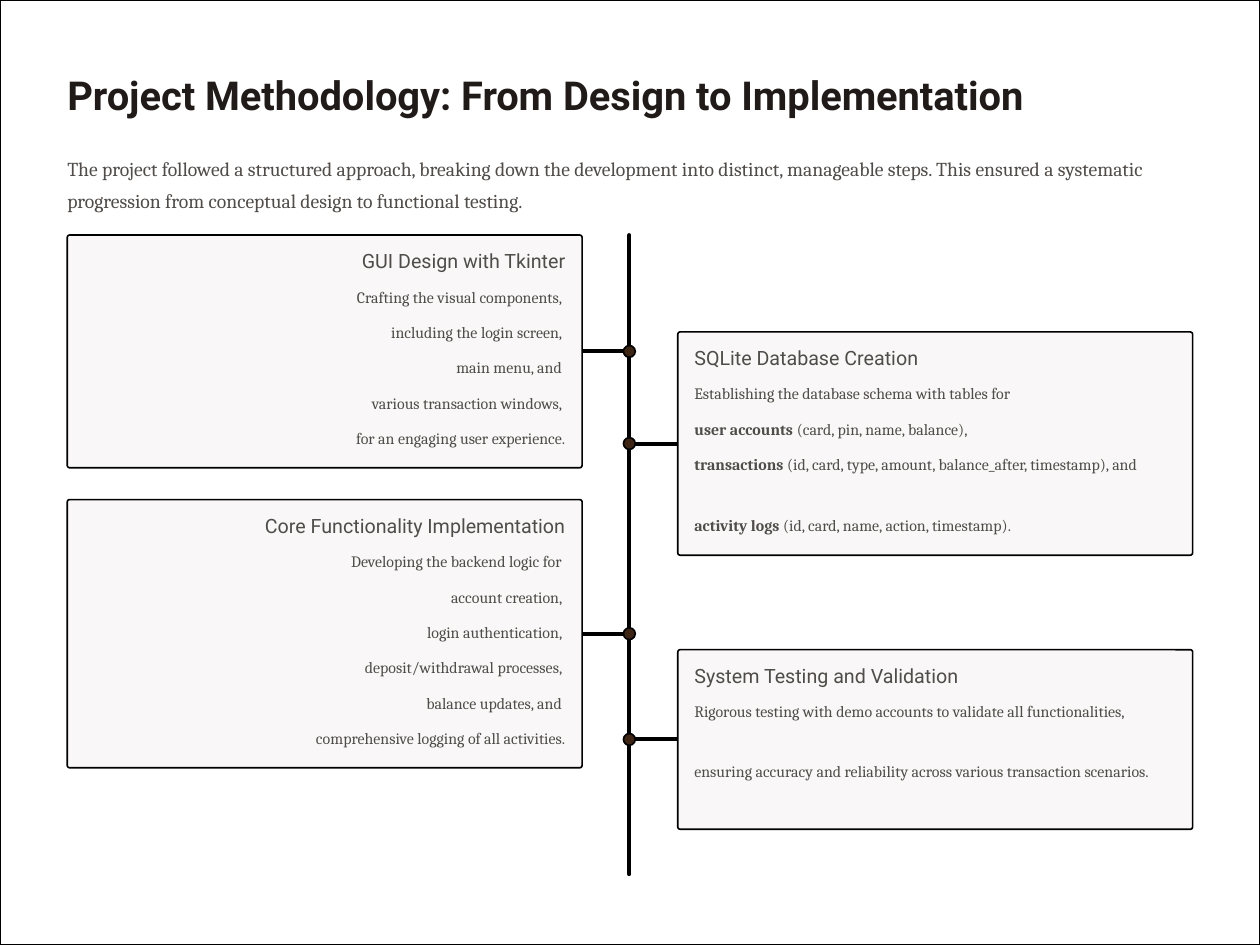
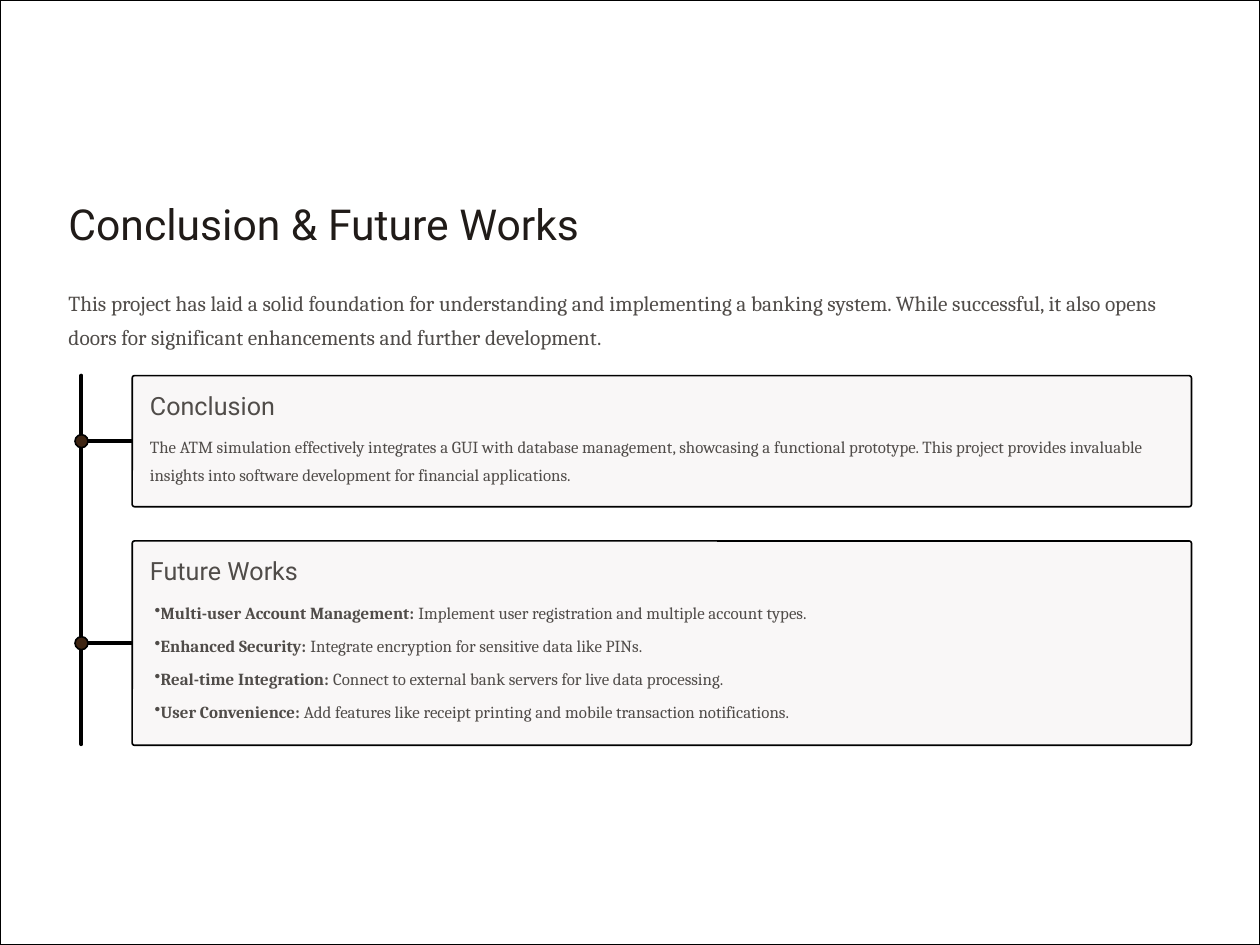
from lxml.etree import SubElement
from pptx import Presentation
from pptx.dml.color import RGBColor
from pptx.enum.shapes import MSO_CONNECTOR, MSO_SHAPE
from pptx.enum.text import MSO_ANCHOR, MSO_AUTO_SIZE, PP_ALIGN
from pptx.oxml.ns import qn
from pptx.util import Inches, Pt

BLACK = RGBColor(0x00, 0x00, 0x00)
WHITE = RGBColor(0xFF, 0xFF, 0xFF)
INK = RGBColor(0x20, 0x1B, 0x18)
BODY = RGBColor(0x50, 0x4C, 0x49)
CARD = RGBColor(0xF9, 0xF7, 0xF7)
NODE = RGBColor(0x3E, 0x25, 0x13)

PAGE_WIDTH, PAGE_HEIGHT = 10.67, 8
CORNER = 0.02
HEADING_DROP = 0.11
LEFT_SIDE, RIGHT_SIDE = 1, 3

METHODOLOGY = {
    "title": "Project Methodology: From Design to Implementation",
    "title_box": (0.57, 0.58, 9.37, 0.44),
    "title_style": {"size": 24.3, "leading": 30.3, "font": "Roboto", "color": INK, "bold": True},
    "intro": "The project followed a structured approach, breaking down the development into "
             "distinct, manageable steps. This ensured a systematic progression from conceptual "
             "design to functional testing.",
    "intro_box": (0.57, 1.26, 9.53, 0.58),
    "intro_style": {"size": 12, "leading": 19.3, "font": "Cambria", "color": BODY},
    "heading_style": {"size": 12, "leading": 15, "font": "Roboto", "color": BODY},
    "line_style": {"size": 9.7, "leading": 15.3, "font": "Cambria", "color": BODY},
    "spine": (5.33, 1.99, 7.4),
    "node": 0.1,
    "padding": 0.14,
    "heading_height": 0.24,
    "lines_drop": 0.39,
    "row": 0.26,
    "tall_row": 0.47,
    "row_gap": 0.04,
    "cards": [
        {"heading": "GUI Design with Tkinter", "box": (0.57, 1.99, 4.36, 1.97),
         "lines": [("", "Crafting the visual components, "),
                   ("", "including the login screen, "),
                   ("", "main menu, and "),
                   ("", "various transaction windows, "),
                   ("", "for an engaging user experience.")]},
        {"heading": "SQLite Database Creation", "box": (5.74, 2.81, 4.36, 1.89),
         "lines": [("", "Establishing the database schema with tables for"),
                   ("user accounts", " (card, pin, name, balance),"),
                   ("transactions", " (id, card, type, amount, balance_after, timestamp), and"),
                   ("activity logs", " (id, card, name, action, timestamp).")],
         "tall": [2]},
        {"heading": "Core Functionality Implementation", "box": (0.57, 4.23, 4.36, 2.27),
         "lines": [("", "Developing the backend logic for "),
                   ("", "account creation, "),
                   ("", "login authentication, "),
                   ("", "deposit/withdrawal processes, "),
                   ("", "balance updates, and "),
                   ("", "comprehensive logging of all activities.")]},
        {"heading": "System Testing and Validation", "box": (5.74, 5.5, 4.36, 1.52),
         "lines": [("", "Rigorous testing with demo accounts to validate all functionalities,"),
                   ("", "ensuring accuracy and reliability across various transaction scenarios.")],
         "tall": [0, 1]},
    ],
}

CONCLUSION = {
    "title": "Conclusion & Future Works",
    "title_box": (0.58, 1.66, 4.88, 0.48),
    "title_style": {"size": 26, "leading": 32.3, "font": "Roboto", "color": INK},
    "intro": "This project has laid a solid foundation for understanding and implementing a "
             "banking system. While successful, it also opens doors for significant "
             "enhancements and further development.",
    "intro_box": (0.58, 2.39, 9.51, 0.63),
    "intro_style": {"size": 13, "leading": 20.7, "font": "Cambria", "color": BODY},
    "heading_style": {"size": 15.3, "leading": 19.3, "font": "Roboto", "color": BODY},
    "line_style": {"size": 10.3, "leading": 16.7, "font": "Cambria", "color": BODY},
    "spine": (0.69, 3.18, 6.3),
    "node": 0.11,
    "padding": 0.15,
    "heading_height": 0.3,
    "lines_drop": 0.46,
    "row": 0.27,
    "tall_row": 0.5,
    "row_gap": 0.01,
    "cards": [
        {"heading": "Conclusion", "box": (1.12, 3.18, 8.97, 1.11),
         "lines": [("", "The ATM simulation effectively integrates a GUI with database management, "
                        "showcasing a functional prototype. This project provides invaluable "
                        "insights into software development for financial applications.")],
         "tall": [0]},
        {"heading": "Future Works", "box": (1.12, 4.58, 8.97, 1.73), "bullets": True,
         "lines": [("Multi-user Account Management:",
                    " Implement user registration and multiple account types."),
                   ("Enhanced Security:", " Integrate encryption for sensitive data like PINs."),
                   ("Real-time Integration:",
                    " Connect to external bank servers for live data processing."),
                   ("User Convenience:",
                    " Add features like receipt printing and mobile transaction notifications.")]},
    ],
}


def apply(target, values):
    for name, value in values.items():
        setattr(target, name, value)


def inches(values):
    return [Inches(value) for value in values]


def write(holder, runs, style, align=PP_ALIGN.LEFT):
    frame = holder.text_frame
    apply(frame, {"margin_left": 0, "margin_top": 0, "margin_right": 0, "margin_bottom": 0,
                  "word_wrap": True, "auto_size": MSO_AUTO_SIZE.NONE,
                  "vertical_anchor": MSO_ANCHOR.TOP})
    paragraph = frame.paragraphs[0]
    apply(paragraph, {"alignment": align, "line_spacing": Pt(style["leading"]),
                      "space_before": Pt(0)})
    for text, bold in runs:
        if text:
            run = paragraph.add_run()
            run.text = text
            apply(run.font, {"size": Pt(style["size"]), "name": style["font"], "bold": bold})
            run.font.color.rgb = style["color"]
    return paragraph


def add_text(slide, box, runs, style, align=PP_ALIGN.LEFT):
    return write(slide.shapes.add_textbox(*inches(box)), runs, style, align)


def add_bullet(paragraph):
    paragraph.level = 1
    properties = paragraph._p.get_or_add_pPr()
    properties.set("marL", str(Inches(0.09)))
    properties.set("indent", str(Inches(-0.05)))
    SubElement(properties, qn("a:buChar")).set("char", "•")


def add_outlined(slide, kind, box, color):
    outlined = slide.shapes.add_shape(kind, *inches(box))
    outlined.shadow.inherit = False
    outlined.fill.solid()
    outlined.fill.fore_color.rgb = color
    outlined.line.color.rgb = BLACK
    outlined.line.width = Pt(1)
    return outlined


def add_rule(slide, *ends):
    rule = slide.shapes.add_connector(MSO_CONNECTOR.STRAIGHT, *inches(ends))
    rule.line.color.rgb = BLACK
    rule.line.width = Pt(2.4)
    rule.line._get_or_add_ln().set("cap", "rnd")
    SubElement(rule._element.spPr, qn("a:effectLst"))
    return rule


def add_card(slide, content, card):
    left, top, width, height = card["box"]
    spine_x, node, padding = content["spine"][0], content["node"], content["padding"]
    middle = top + height / 2
    before_spine = left < spine_x
    align = PP_ALIGN.RIGHT if before_spine else PP_ALIGN.LEFT

    stem = add_rule(slide, spine_x, middle, left, middle)
    add_outlined(slide, MSO_SHAPE.OVAL,
                 (spine_x - node / 2, middle - node / 2, node, node), NODE)
    panel = add_outlined(slide, MSO_SHAPE.ROUNDED_RECTANGLE, card["box"], CARD)
    panel.adjustments[0] = CORNER / min(width, height)
    stem.end_connect(panel, RIGHT_SIDE if before_spine else LEFT_SIDE)

    text_left, text_width = left + padding, width - 2 * padding
    add_text(slide, (text_left, top + HEADING_DROP, text_width, content["heading_height"]),
             [(card["heading"], False)], content["heading_style"], align)
    line_top = top + content["lines_drop"]
    for index, (lead, rest) in enumerate(card["lines"]):
        row = content["tall_row" if index in card.get("tall", []) else "row"]
        line = add_text(slide, (text_left, line_top, text_width, row),
                        [(lead, True), (rest, False)], content["line_style"], align)
        if card.get("bullets"):
            add_bullet(line)
        line_top += row + content["row_gap"]


def add_timeline_slide(deck, content):
    slide = deck.slides.add_slide(deck.slide_layouts[5])
    page = add_outlined(slide, MSO_SHAPE.RECTANGLE, (0, 0, PAGE_WIDTH, PAGE_HEIGHT), WHITE)
    slide.shapes._spTree.insert(2, page._element)

    title = slide.shapes.title
    apply(title, dict(zip(("left", "top", "width", "height"), inches(content["title_box"]))))
    title_style = content["title_style"]
    write(title, [(content["title"], title_style.get("bold", False))], title_style)
    add_text(slide, content["intro_box"], [(content["intro"], False)], content["intro_style"])

    spine_x, spine_top, spine_bottom = content["spine"]
    add_rule(slide, spine_x, spine_top, spine_x, spine_bottom)
    for card in content["cards"]:
        add_card(slide, content, card)


def main():
    deck = Presentation()
    apply(deck, {"slide_width": Inches(PAGE_WIDTH), "slide_height": Inches(PAGE_HEIGHT)})
    for content in (METHODOLOGY, CONCLUSION):
        add_timeline_slide(deck, content)
    deck.save("out.pptx")


if __name__ == "__main__":
    main()
